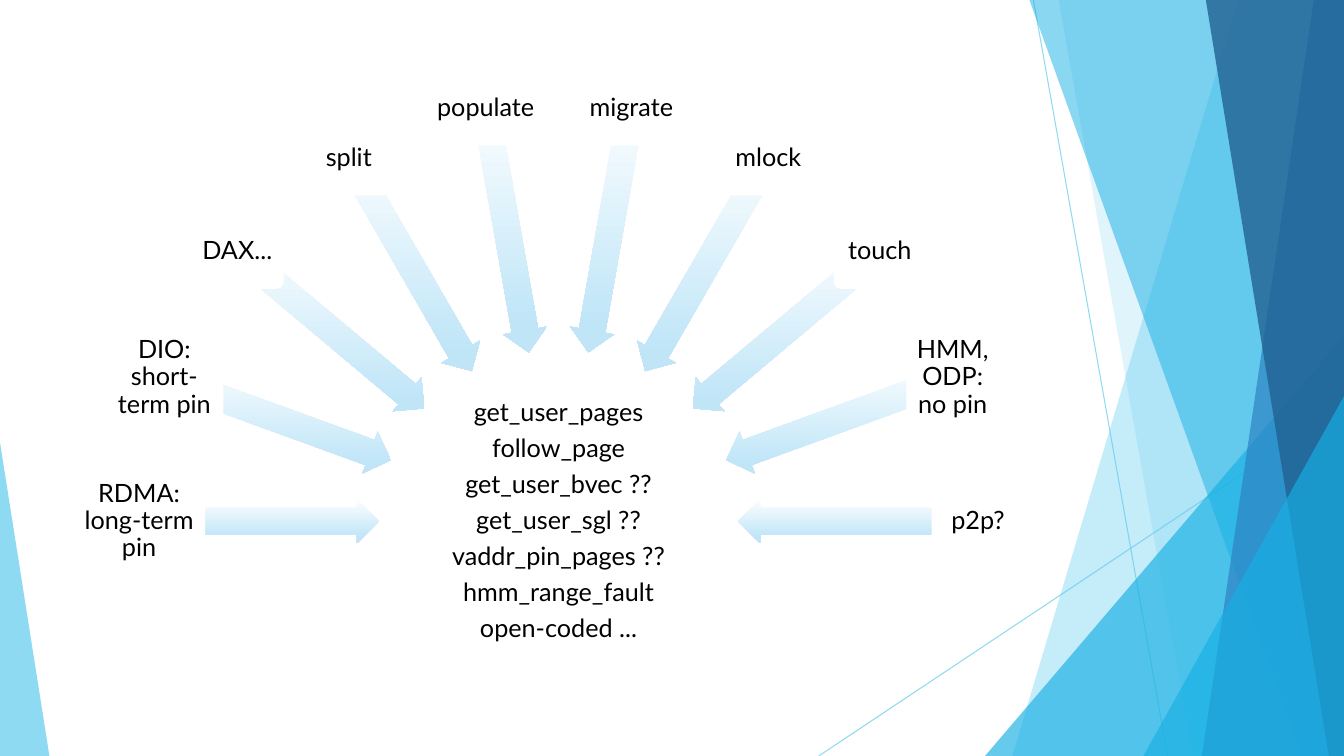
import math
from dataclasses import dataclass

import pptx
import pptx.dml.color
import pptx.enum.shapes
import pptx.enum.text
import pptx.oxml
import pptx.oxml.ns
import pptx.util
from pptx.util import Inches

WIDE, HIGH = 13.33, 7.5
MID_X, MID_Y = 5.54, 5.17
REACH = 4.16
STEP = 20
THICK = 0.44
SIZE = 18
FONT = "Lato"
HUES = {
    "white": "FFFFFF",
    "black": "000000",
    "sky": "5FCBEF",
    "cyan": "17B0E4",
    "blue": "2E83C3",
    "navy": "226292",
    "pale": "FCFEFF",
    "ice": "BFE5F7",
}
FORMS = pptx.enum.shapes.MSO_SHAPE


@dataclass
class Pane:
    top: float
    foot: float
    hue: str
    alpha: int


@dataclass
class Wedge:
    left: float
    top: float
    width: float
    tip: float
    hue: str
    alpha: int


@dataclass
class Ray:
    x1: float
    y1: float
    x2: float
    y2: float


@dataclass
class Spoke:
    text: str
    width: float
    height: float
    length: float


RAYS = [Ray(10.25, 0, 11.58, HIGH), Ray(WIDE, 4.03, 8.12, HIGH)]
PANES = [
    Pane(12.28, 10.04, "sky", 36),
    Pane(10.5, 11.83, "sky", 20),
    Wedge(9.77, 3.33, 3.56, 1, "cyan", 66),
    Pane(10.21, 12.91, "cyan", 50),
    Pane(13.03, 11.92, "blue", 70),
    Pane(11.96, 13.18, "navy", 80),
    Wedge(11.34, 3.93, 1.99, 1, "cyan", 66),
    Wedge(0, 4.39, 0.49, 0, "sky", 70),
]
CALLS = [
    "get_user_pages",
    "follow_page",
    "get_user_bvec ??",
    "get_user_sgl ??",
    "vaddr_pin_pages ??",
    "hmm_range_fault",
    "open-coded ...",
]
SPOKES = [
    Spoke("RDMA: long-term pin", 1.31, 1.17, 2.38),
    Spoke("DIO: short-term pin", 1.17, 0.9, 2.39),
    Spoke("DAX...", 0.92, 0.74, 2.42),
    Spoke("split", 0.92, 0.74, 2.44),
    Spoke("populate", 1.31, 0.74, 2.46),
    Spoke("migrate", 1.15, 0.74, 2.46),
    Spoke("mlock", 0.92, 0.74, 2.44),
    Spoke("touch", 0.92, 0.74, 2.42),
    Spoke("HMM, ODP: no pin", 0.92, 1.03, 2.39),
    Spoke("p2p?", 0.92, 0.74, 2.38),
]


def shade(name: str) -> pptx.dml.color.RGBColor:
    return pptx.dml.color.RGBColor.from_string(HUES[name])


def fade(part, alpha: int) -> None:
    node = next(part.iter(pptx.oxml.ns.qn("a:srgbClr")))
    tag = pptx.oxml.parse_xml(f'<a:alpha {pptx.oxml.ns.nsdecls("a")} val="{alpha * 1000}"/>')
    node.append(tag)


def paint(shape, hue: str, alpha: int = 100) -> None:
    shape.shadow.inherit = False
    shape.line.fill.background()
    shape.fill.solid()
    shape.fill.fore_color.rgb = shade(hue)
    if alpha < 100:
        fade(shape._element.spPr, alpha)


def place(shapes, form, x: float, y: float, width: float, height: float):
    return shapes.add_shape(
        form, Inches(x - width / 2), Inches(y - height / 2), Inches(width), Inches(height)
    )


def write(shape, lines: list[str], inset: float) -> None:
    frame = shape.text_frame
    frame.word_wrap = True
    frame.vertical_anchor = pptx.enum.text.MSO_ANCHOR.MIDDLE
    frame.margin_left = frame.margin_right = Inches(inset)
    frame.margin_top = frame.margin_bottom = Inches(inset)
    frame.text = "\n".join(lines)
    for para in frame.paragraphs:
        para.alignment = pptx.enum.text.PP_ALIGN.CENTER
        para.line_spacing = 0.9
        para.space_after = pptx.util.Pt(0.35 * SIZE)
        for run in para.runs:
            run.font.size = pptx.util.Pt(SIZE)
            run.font.name = FONT
            run.font.color.rgb = shade("black")


def draw_ray(shapes, ray: Ray) -> None:
    line = shapes.add_connector(
        pptx.enum.shapes.MSO_CONNECTOR.STRAIGHT,
        Inches(ray.x1), Inches(ray.y1), Inches(ray.x2), Inches(ray.y2),
    )
    line.line.width = pptx.util.Pt(0.75)
    line.line.color.rgb = shade("sky")
    fade(line._element.spPr, 70)
    line._element.spPr.append(
        pptx.oxml.parse_xml(f'<a:effectLst {pptx.oxml.ns.nsdecls("a")}/>')
    )


def draw_pane(shapes, pane: Pane) -> None:
    path = shapes.build_freeform(Inches(pane.top), 0)
    ends = [(WIDE, 0), (WIDE, HIGH), (pane.foot, HIGH)]
    path.add_line_segments([(Inches(x), Inches(y)) for x, y in ends], close=True)
    paint(path.convert_to_shape(), pane.hue, pane.alpha)


def draw_wedge(shapes, wedge: Wedge) -> None:
    shape = shapes.add_shape(
        FORMS.ISOSCELES_TRIANGLE, Inches(wedge.left), Inches(wedge.top),
        Inches(wedge.width), Inches(HIGH - wedge.top),
    )
    shape.adjustments[0] = wedge.tip
    paint(shape, wedge.hue, wedge.alpha)


def draw_spoke(shapes, spoke: Spoke, turn: int) -> None:
    cos, sin = math.cos(math.radians(turn)), math.sin(math.radians(turn))
    reach = REACH - spoke.length / 2
    arrow = place(
        shapes, FORMS.LEFT_ARROW, MID_X + reach * cos, MID_Y + reach * sin, spoke.length, THICK
    )
    arrow.rotation = turn % 360
    arrow.adjustments[0] = 0.6
    arrow.adjustments[1] = 0.5
    arrow.shadow.inherit = False
    arrow.line.fill.background()
    arrow.fill.gradient()
    arrow.fill.gradient_angle = 270
    for stop, hue, spot in zip(arrow.fill.gradient_stops, ("pale", "ice"), (0, 0.88)):
        stop.color.rgb = shade(hue)
        stop.position = spot
    arrow._element.spPr.find(pptx.oxml.ns.qn("a:gradFill")).set("rotWithShape", "0")

    label = place(
        shapes, FORMS.ROUNDED_RECTANGLE, MID_X + REACH * cos, MID_Y + REACH * sin,
        spoke.width, spoke.height,
    )
    label.adjustments[0] = 0.1
    paint(label, "white")
    write(label, [spoke.text], 0.04)


def main() -> None:
    deck = pptx.Presentation()
    deck.slide_width, deck.slide_height = Inches(WIDE), Inches(HIGH)
    shapes = deck.slides.add_slide(deck.slide_layouts[6]).shapes
    for ray in RAYS:
        draw_ray(shapes, ray)
    for pane in PANES:
        if isinstance(pane, Pane):
            draw_pane(shapes, pane)
        else:
            draw_wedge(shapes, pane)
    core = place(shapes, FORMS.OVAL, MID_X, MID_Y, 3.28, 3.11)
    paint(core, "white")
    write(core, CALLS, 0.01)
    for rank, spoke in enumerate(SPOKES):
        draw_spoke(shapes, spoke, 180 + STEP * rank)
    deck.save("out.pptx")


if __name__ == "__main__":
    main()
